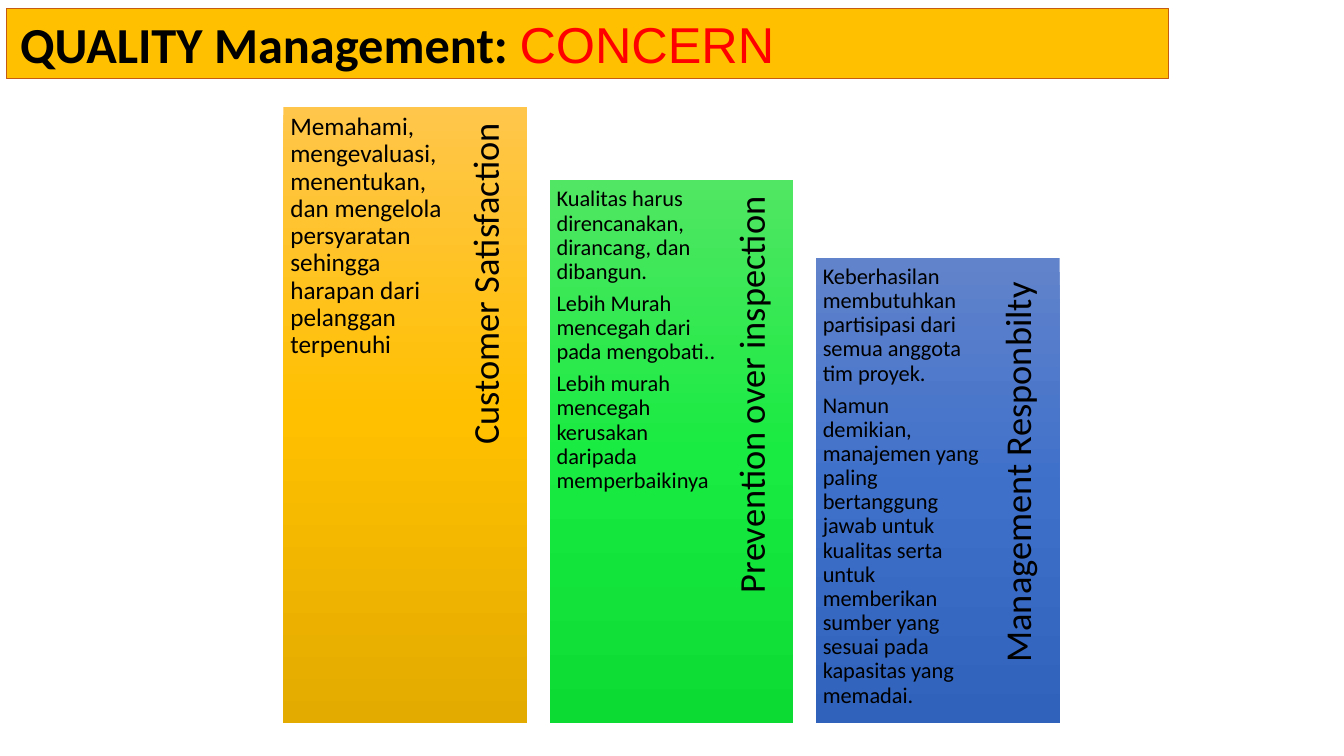
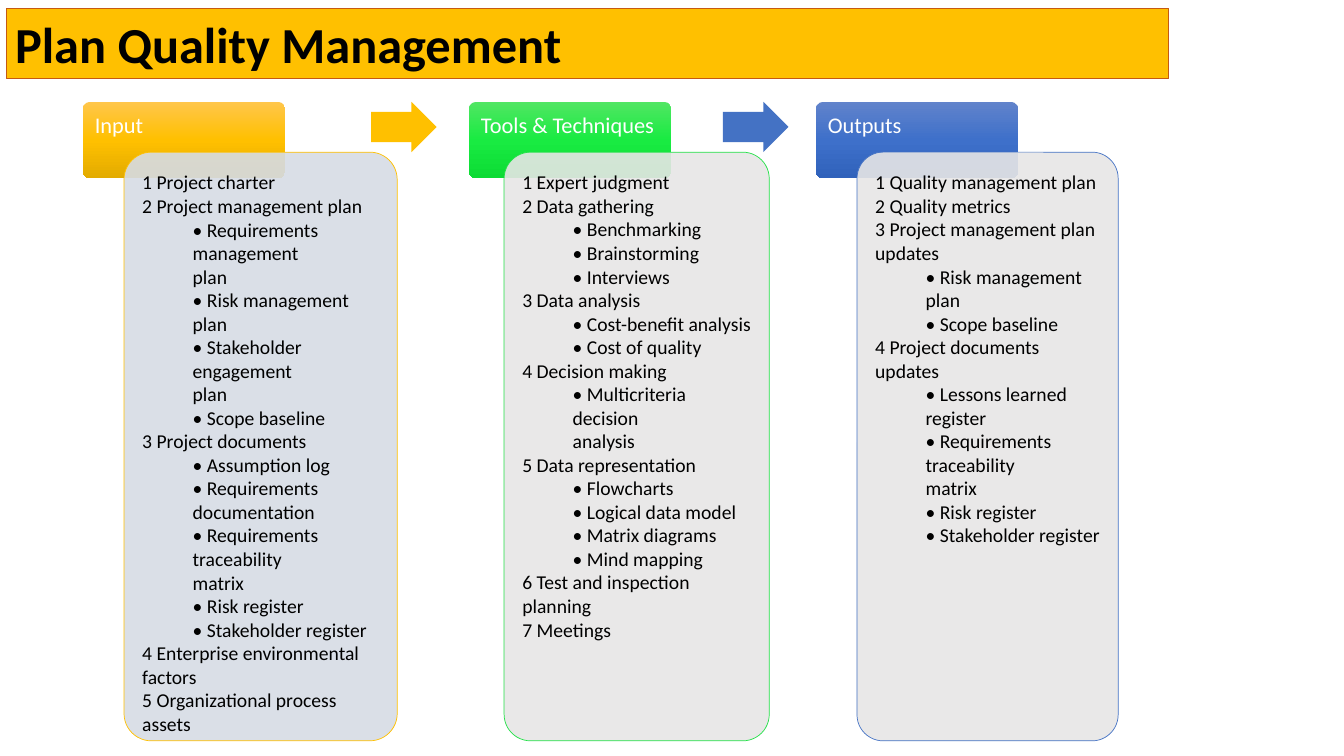
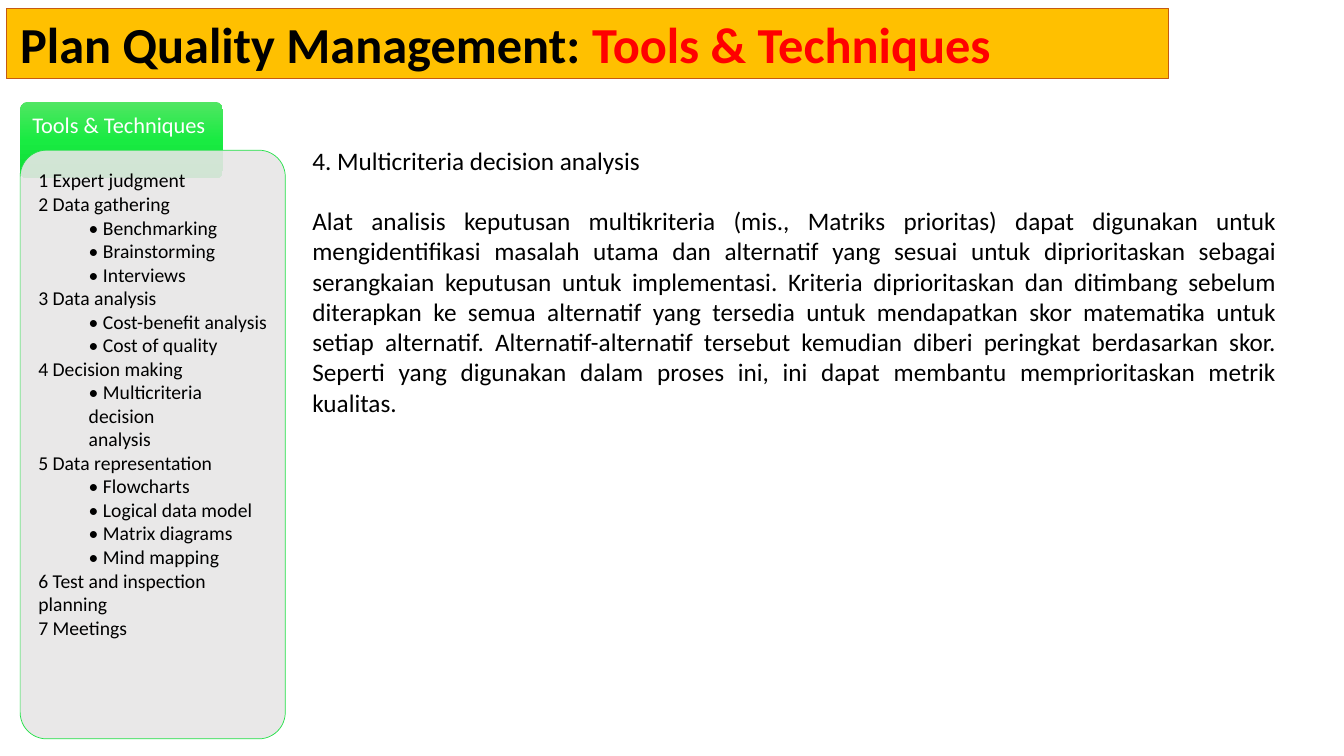
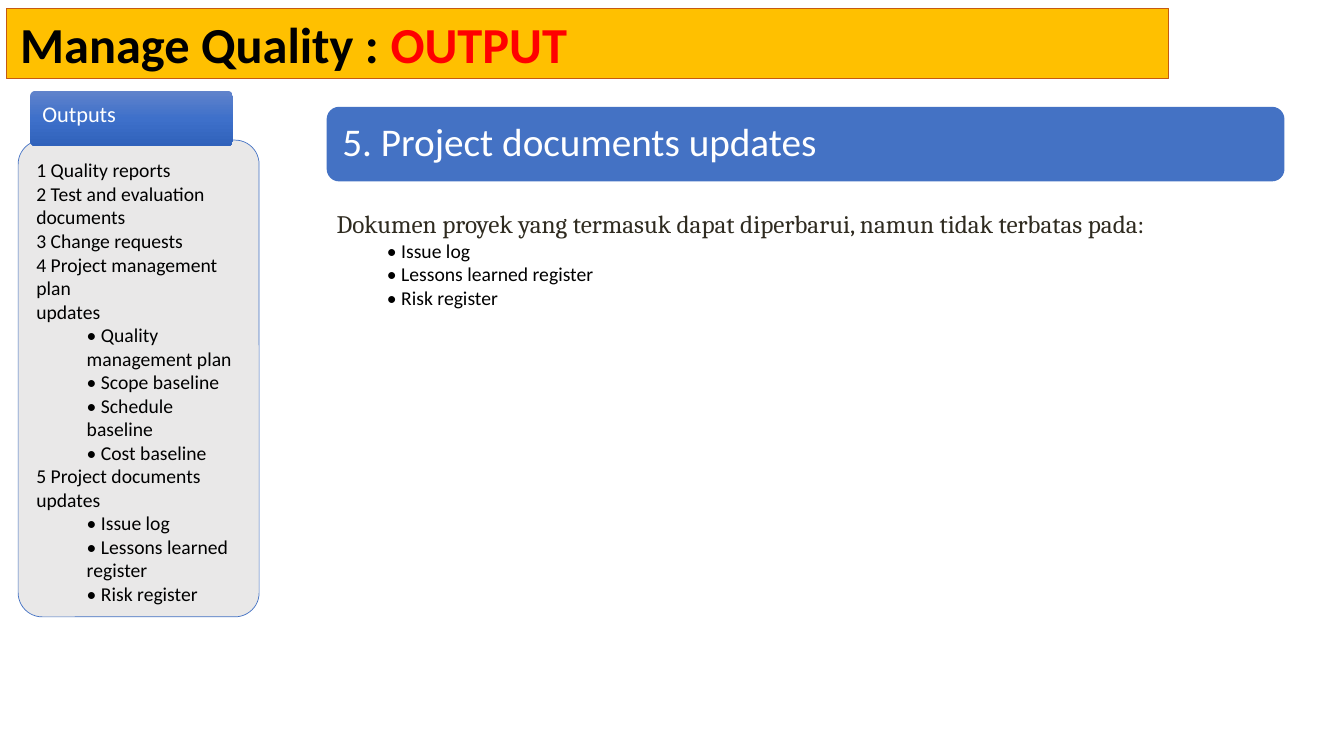
import pptx
import pptx.util
import pptx.dml.color
import pptx.enum.shapes
import pptx.enum.text
import pptx.oxml.ns
from lxml import etree

Inches = pptx.util.Inches
Pt = pptx.util.Pt
Shape = pptx.enum.shapes.MSO_SHAPE
Align = pptx.enum.text.PP_ALIGN
Anchor = pptx.enum.text.MSO_ANCHOR
qn = pptx.oxml.ns.qn

# Shared look
FONT = "Calibri"
COLOURS = {
    "black": "000000", "white": "FFFFFF", "red": "FF0000", "ink": "2F2B20",
    "gold": "FFC000", "green": "23E148", "blue": "4472C4",
    "rust": "C55A11", "grey": "E7E6E6", "mist": "D6DCE5",
}
GRADIENTS = {
    "gold": ("FFC64B", "FFC000", "E3AB00"),
    "green": ("51E663", "19EB42", "0CDB34"),
    "blue": ("6183CB", "3E70CA", "3062BB"),
}
CORNER = 0.1          # corner radius as a share of the shorter side
CORNER_INSET = 0.29   # share of the radius that a round rectangle keeps free of text
COLUMN_WIDTH, COLUMN_PITCH, COLUMN_BOTTOM = 2.42, 2.64, 7.17
HEADER_WIDTH = 2.01

# Lists: a nested list holds the indented lines below an entry
INPUTS = [
    "1 Project charter", "2 Project management plan",
    ["• Requirements management", "plan", "• Risk management plan",
     "• Stakeholder engagement", "plan", "• Scope baseline"],
    "3 Project documents",
    ["• Assumption log", "• Requirements", "documentation",
     "• Requirements traceability", "matrix", "• Risk register",
     "• Stakeholder register"],
    "4 Enterprise environmental", "factors", "5 Organizational process assets",
]
TOOLS = [
    "1 Expert judgment", "2 Data gathering",
    ["• Benchmarking", "• Brainstorming", "• Interviews"],
    "3 Data analysis", ["• Cost-benefit analysis", "• Cost of quality"],
    "4 Decision making", ["• Multicriteria decision", "analysis"],
    "5 Data representation",
    ["• Flowcharts", "• Logical data model", "• Matrix diagrams", "• Mind mapping"],
    "6 Test and inspection planning", "7 Meetings",
]
PLAN_OUTPUTS = [
    "1 Quality management plan", "2 Quality metrics",
    "3 Project management plan", "updates",
    ["• Risk management plan", "• Scope baseline"],
    "4 Project documents updates",
    ["• Lessons learned register", "• Requirements traceability", "matrix",
     "• Risk register", "• Stakeholder register"],
]
DOCUMENTS = ["• Issue log", "• Lessons learned register", "• Risk register"]
MANAGE_OUTPUTS = [
    "1 Quality reports", "2 Test and evaluation", "documents",
    "3 Change requests", "4 Project management plan", "updates",
    ["• Quality management plan", "• Scope baseline", "• Schedule baseline",
     "• Cost baseline"],
    "5 Project documents updates", DOCUMENTS,
]


def rgb(name):
    return pptx.dml.color.RGBColor.from_string(COLOURS[name])


def set_frame(shape, insets, anchor=Anchor.TOP):
    frame = shape.text_frame
    frame.word_wrap = True
    frame.auto_size = pptx.enum.text.MSO_AUTO_SIZE.NONE
    frame.vertical_anchor = anchor
    (frame.margin_left, frame.margin_top,
     frame.margin_right, frame.margin_bottom) = [Inches(inset) for inset in insets]
    return frame


def add_paragraph(frame, text, size, colour="black", font=FONT, align=Align.LEFT,
                  spacing=None, after=0, level=0):
    para = frame.paragraphs[0]
    if para.runs:
        para = frame.add_paragraph()
    para.text = text
    para.alignment = align
    para.space_after = Pt(after)
    if spacing:
        para.line_spacing = spacing
    if level:
        para.level = level
        para._p.get_or_add_pPr().set("marL", str(Inches(0.5 * level)))
    para.font.name = font
    para.font.size = Pt(size)
    para.font.color.rgb = rgb(colour)
    return para


def add_list(frame, entries, level=0):
    for entry in entries:
        if isinstance(entry, list):
            add_list(frame, entry, level + 1)
        else:
            add_paragraph(frame, entry, 14, level=level)


def add_box(page, kind, left, top, width, height, fill=None, gradient=None):
    box = page.shapes.add_shape(kind, Inches(left), Inches(top),
                                Inches(width), Inches(height))
    box.shadow.inherit = False
    box.line.fill.background()
    if gradient:
        box.fill.gradient()
        box.fill.gradient_angle = 270
        stops = box._element.spPr.find(".//" + qn("a:gsLst"))
        for stop in list(stops):
            stops.remove(stop)
        for position, colour in zip((0, 50000, 100000), GRADIENTS[gradient]):
            stop = etree.SubElement(stops, qn("a:gs"), pos=str(position))
            etree.SubElement(stop, qn("a:srgbClr"), val=colour)
    else:
        box.fill.solid()
        box.fill.fore_color.rgb = rgb(fill)
    return box


def add_text_box(page, left, top, width, height):
    return page.shapes.add_textbox(Inches(left), Inches(top),
                                   Inches(width), Inches(height))


def add_page(deck, title, accent="", accent_font=FONT, accent_bold=True):
    """Title-only slide with the gold title band."""
    page = deck.slides.add_slide(deck.slide_layouts[5])
    band = page.shapes.title
    band.left, band.top = Inches(0.06), Inches(0.08)
    band.width, band.height = Inches(11.53), Inches(0.7)
    band.fill.solid()
    band.fill.fore_color.rgb = rgb("gold")
    band.line.color.rgb = rgb("rust")
    band.line.width = Pt(0.75)
    frame = set_frame(band, (0.14 if accent else 0.09, 0.05, 0.09, 0.05))
    para = frame.paragraphs[0]
    para.alignment = Align.LEFT
    for text, colour, font, bold in ((title, "black", FONT, True),
                                     (accent, "red", accent_font, accent_bold)):
        if text:
            span = para.add_run()
            span.text = text
            span.font.name = font
            span.font.size = Pt(36)
            span.font.bold = bold
            span.font.color.rgb = rgb(colour)
    return page


def add_column(page, index, top, hue, label, size, texts, label_end=0.16):
    """Gradient column with text on the left and an upright label on the right."""
    left = 2.81 + index * COLUMN_PITCH
    height = COLUMN_BOTTOM - top
    column = add_box(page, Shape.RECTANGLE, left, top, COLUMN_WIDTH, height,
                     gradient=hue)
    frame = set_frame(column, (0.07, 0.07, 0.77, 0.07))
    for text in texts:
        add_paragraph(frame, text, size, spacing=0.9, after=0.35 * size)

    length, depth = 0.9 * height, 0.63
    upright = add_text_box(page, left + 2.04 - length / 2,
                           top + (length - depth) / 2, length, depth)
    upright.rotation = 270
    frame = set_frame(upright, (0.11, 0, label_end, 0.04), Anchor.MIDDLE)
    add_paragraph(frame, label, 26, align=Align.RIGHT, spacing=0.9)


def add_header(page, left, top, text, hue, height=0.76):
    header = add_box(page, Shape.ROUNDED_RECTANGLE, left, top, HEADER_WIDTH, height,
                     gradient=hue)
    header.adjustments[0] = CORNER
    inset = 0.12 - CORNER_INSET * CORNER * height
    frame = set_frame(header, (inset, inset, inset, inset + 0.2))
    add_paragraph(frame, text, 16, "white", spacing=0.9)


def add_panel(page, left, top, width, height, entries, hue, fill="grey"):
    """Slightly transparent round panel that holds a list."""
    panel = add_box(page, Shape.ROUNDED_RECTANGLE, left, top, width, height, fill)
    panel.adjustments[0] = CORNER
    colour = panel._element.spPr.find(qn("a:solidFill"))[0]
    etree.SubElement(colour, qn("a:alpha"), val="90000")
    panel.line.color.rgb = rgb(hue)
    panel.line.width = Pt(0.5)
    inset = 0.18 - CORNER_INSET * CORNER * width
    add_list(set_frame(panel, [inset] * 4), entries)


def add_arrow(page, left, hue):
    arrow = add_box(page, Shape.RIGHT_ARROW, left, 1.01, 0.65, 0.5, hue)
    arrow.adjustments[0] = 0.6
    arrow.adjustments[1] = 0.5


def build_concern(deck):
    page = add_page(deck, "QUALITY Management: ", "CONCERN", "Arial", False)
    add_column(page, 0, 1.06, "gold", "Customer Satisfaction", 18, [
        "Memahami, mengevaluasi, menentukan, dan mengelola persyaratan "
        "sehingga harapan dari pelanggan terpenuhi"])
    add_column(page, 1, 1.79, "green", "Prevention over inspection", 16, [
        "Kualitas harus direncanakan, dirancang, dan dibangun.",
        "Lebih Murah mencegah dari pada mengobati..",
        "Lebih murah mencegah kerusakan daripada memperbaikinya"])
    add_column(page, 2, 2.56, "blue", "Management Responbilty", 16, [
        "Keberhasilan membutuhkan partisipasi dari semua anggota tim proyek.",
        "Namun demikian, manajemen yang paling bertanggung jawab untuk kualitas "
        "serta untuk memberikan sumber yang sesuai pada kapasitas yang memadai."],
        label_end=0.24)


def build_plan(deck):
    page = add_page(deck, "Plan Quality Management")
    stages = (
        ("Input", INPUTS, "gold", "mist", 0.82, 1.23, 2.71),
        ("Tools & Techniques", TOOLS, "green", "grey", 4.65, 5.0, 2.63),
        ("Outputs", PLAN_OUTPUTS, "blue", "grey", 8.09, 8.5, 2.59),
    )
    for name, entries, hue, fill, header_left, panel_left, width in stages:
        add_header(page, header_left, 1.01, name, hue)
        add_panel(page, panel_left, 1.51, width, 5.84, entries, hue, fill)
    for left, hue in ((3.68, "gold"), (7.17, "blue")):
        add_arrow(page, left, hue)


def build_tools(deck):
    page = add_page(deck, "Plan Quality Management: ", "Tools & Techniques")
    add_header(page, 0.2, 1.01, "Tools & Techniques", "green")
    add_panel(page, 0.2, 1.49, 2.63, 5.84, TOOLS, "green")
    box = add_text_box(page, 3, 1.39, 9.76, 2.83)
    frame = set_frame(box, (0.1, 0.05, 0.1, 0.05))
    add_paragraph(frame, "4. Multicriteria decision analysis", 18, after=21.6)
    add_paragraph(
        frame,
        "Alat analisis keputusan multikriteria (mis., Matriks prioritas) dapat "
        "digunakan untuk mengidentifikasi masalah utama dan alternatif yang sesuai "
        "untuk diprioritaskan sebagai serangkaian keputusan untuk implementasi. "
        "Kriteria diprioritaskan dan ditimbang sebelum diterapkan ke semua "
        "alternatif yang tersedia untuk mendapatkan skor matematika untuk setiap "
        "alternatif. Alternatif-alternatif tersebut kemudian diberi peringkat "
        "berdasarkan skor. Seperti yang digunakan dalam proses ini, ini dapat "
        "membantu memprioritaskan metrik kualitas.",
        18, align=Align.JUSTIFY)


def build_output(deck):
    page = add_page(deck, "Manage Quality : ", "OUTPUT")
    bar = add_box(page, Shape.ROUNDED_RECTANGLE, 3.24, 1.06, 9.5, 0.74, "blue")
    frame = set_frame(bar, [0.12] * 4, Anchor.MIDDLE)
    add_paragraph(frame, "5. Project documents updates", 28, "white", spacing=0.9)
    box = add_text_box(page, 3.24, 2.02, 9.5, 1.11)
    frame = set_frame(box, (0.1, 0.05, 0.1, 0.05))
    add_paragraph(frame, "Dokumen proyek yang termasuk dapat diperbarui, namun "
                  "tidak terbatas pada:", 18, "ink", "Cambria")
    add_list(frame, DOCUMENTS, level=1)
    add_panel(page, 0.18, 1.39, 2.39, 4.73, MANAGE_OUTPUTS, "blue")
    add_header(page, 0.3, 0.9, "Outputs", "blue", height=0.55)


def main():
    deck = pptx.Presentation()
    deck.slide_width, deck.slide_height = Inches(13.33), Inches(7.5)
    build_concern(deck)
    build_plan(deck)
    build_tools(deck)
    build_output(deck)
    deck.save("out.pptx")


if __name__ == "__main__":
    main()
